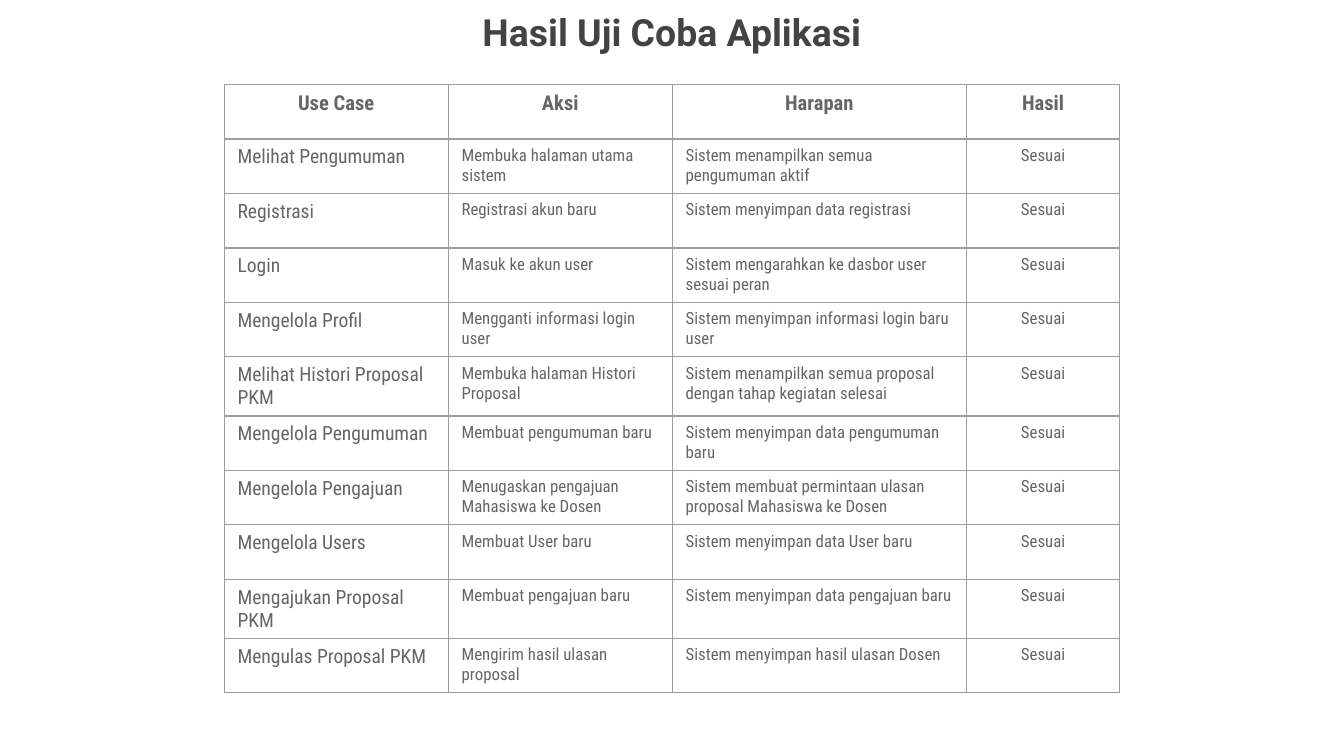
from lxml import etree
from pptx import Presentation
from pptx.dml.color import RGBColor
from pptx.enum.text import MSO_ANCHOR, PP_ALIGN
from pptx.oxml.ns import qn
from pptx.util import Inches, Pt

LEFT, CENTER = PP_ALIGN.LEFT, PP_ALIGN.CENTER
BOTTOM = MSO_ANCHOR.BOTTOM

# Content
TITLE = "Hasil Uji Coba Aplikasi"
HEADERS = ("Use Case", "Aksi", "Harapan", "Hasil")
RESULT = "Sesuai"
TESTS = [
    ("Melihat Pengumuman", "Membuka halaman utama sistem",
     "Sistem menampilkan semua pengumuman aktif"),
    ("Registrasi", "Registrasi akun baru", "Sistem menyimpan data registrasi"),
    ("Login", "Masuk ke akun user",
     "Sistem mengarahkan ke dasbor user sesuai peran"),
    ("Mengelola Profil", "Mengganti informasi login user",
     "Sistem menyimpan informasi login baru user"),
    ("Melihat Histori Proposal PKM", "Membuka halaman Histori Proposal",
     "Sistem menampilkan semua proposal dengan tahap kegiatan selesai"),
    ("Mengelola Pengumuman", "Membuat pengumuman baru",
     "Sistem menyimpan data pengumuman baru"),
    ("Mengelola Pengajuan", "Menugaskan pengajuan Mahasiswa ke Dosen",
     "Sistem membuat permintaan ulasan proposal Mahasiswa ke Dosen"),
    ("Mengelola Users", "Membuat User baru", "Sistem menyimpan data User baru"),
    ("Mengajukan Proposal PKM", "Membuat pengajuan baru",
     "Sistem menyimpan data pengajuan baru"),
    ("Mengulas Proposal PKM", "Mengirim hasil ulasan proposal",
     "Sistem menyimpan hasil ulasan Dosen"),
]

# Colours and type
THEME = {
    "background": "FFFFFF",
    "border": "9E9E9E",
    "border_width": 0.75,
    "title": {"font": "Roboto", "size": 20, "color": "434343", "bold": True},
    "header": {"font": "Roboto Condensed", "size": 11, "color": "666666", "bold": True},
    "use_case": {"font": "Roboto Condensed", "size": 10.5, "color": "666666"},
    "detail": {"font": "Roboto Condensed", "size": 9, "color": "666666"},
}

# Layout in inches, on a 16:9 slide
SLIDE_WIDTH = 10
SLIDE_HEIGHT = SLIDE_WIDTH * 9 / 16
TITLE_TOP, TITLE_WIDTH, TITLE_HEIGHT = 0.01, 5.38, 0.49
TITLE_INSET = 0.1
COLUMN_WIDTHS = (SLIDE_WIDTH / 6, SLIDE_WIDTH / 6, 2.19, 1.14)
TABLE_TOP, TABLE_HEIGHT = 0.63, 4.46
CELL_BOTTOM_INSET = 0.04


def write_text(text_frame, text, *, font, size, color, bold=False, align=LEFT):
    paragraph = text_frame.paragraphs[0]
    paragraph.alignment = align
    run = paragraph.add_run()
    run.text = text
    run.font.name = font
    run.font.size = Pt(size)
    run.font.bold = bold
    run.font.color.rgb = RGBColor.from_string(color)


def add_borders(cell):
    properties = cell._tc.get_or_add_tcPr()
    for index, side in enumerate(("lnL", "lnR", "lnT", "lnB")):
        line = etree.Element(qn(f"a:{side}"), w=str(Pt(THEME["border_width"])))
        fill = etree.SubElement(line, qn("a:solidFill"))
        etree.SubElement(fill, qn("a:srgbClr"), val=THEME["border"])
        properties.insert(index, line)


def add_title(slide):
    left = (SLIDE_WIDTH - TITLE_WIDTH) / 2
    box = slide.shapes.add_textbox(Inches(left), Inches(TITLE_TOP),
                                   Inches(TITLE_WIDTH), Inches(TITLE_HEIGHT))
    frame = box.text_frame
    frame.word_wrap = True
    frame.vertical_anchor = BOTTOM
    frame.margin_left = frame.margin_right = Inches(TITLE_INSET)
    frame.margin_top = frame.margin_bottom = Inches(TITLE_INSET)
    write_text(frame, TITLE, align=CENTER, **THEME["title"])


def add_results_table(slide):
    rows = [HEADERS] + [(*test, RESULT) for test in TESTS]
    width = sum(COLUMN_WIDTHS)
    left = (SLIDE_WIDTH - width) / 2
    table = slide.shapes.add_table(
        len(rows), len(HEADERS), Inches(left), Inches(TABLE_TOP),
        Inches(width), Inches(TABLE_HEIGHT)).table
    table.first_row = table.horz_banding = False
    for column, column_width in zip(table.columns, COLUMN_WIDTHS):
        column.width = Inches(column_width)

    last_column = len(HEADERS) - 1
    for row_index, row in enumerate(rows):
        for column_index, text in enumerate(row):
            if row_index == 0:
                style = "header"
            else:
                style = "use_case" if column_index == 0 else "detail"
            centered = row_index == 0 or column_index == last_column
            cell = table.cell(row_index, column_index)
            cell.margin_bottom = Inches(CELL_BOTTOM_INSET)
            cell.fill.background()
            add_borders(cell)
            write_text(cell.text_frame, text,
                       align=CENTER if centered else LEFT, **THEME[style])


def main():
    presentation = Presentation()
    presentation.slide_width = Inches(SLIDE_WIDTH)
    presentation.slide_height = Inches(SLIDE_HEIGHT)
    slide = presentation.slides.add_slide(presentation.slide_layouts[6])
    background = slide.background.fill
    background.solid()
    background.fore_color.rgb = RGBColor.from_string(THEME["background"])
    add_title(slide)
    add_results_table(slide)
    presentation.save("out.pptx")


if __name__ == "__main__":
    main()
